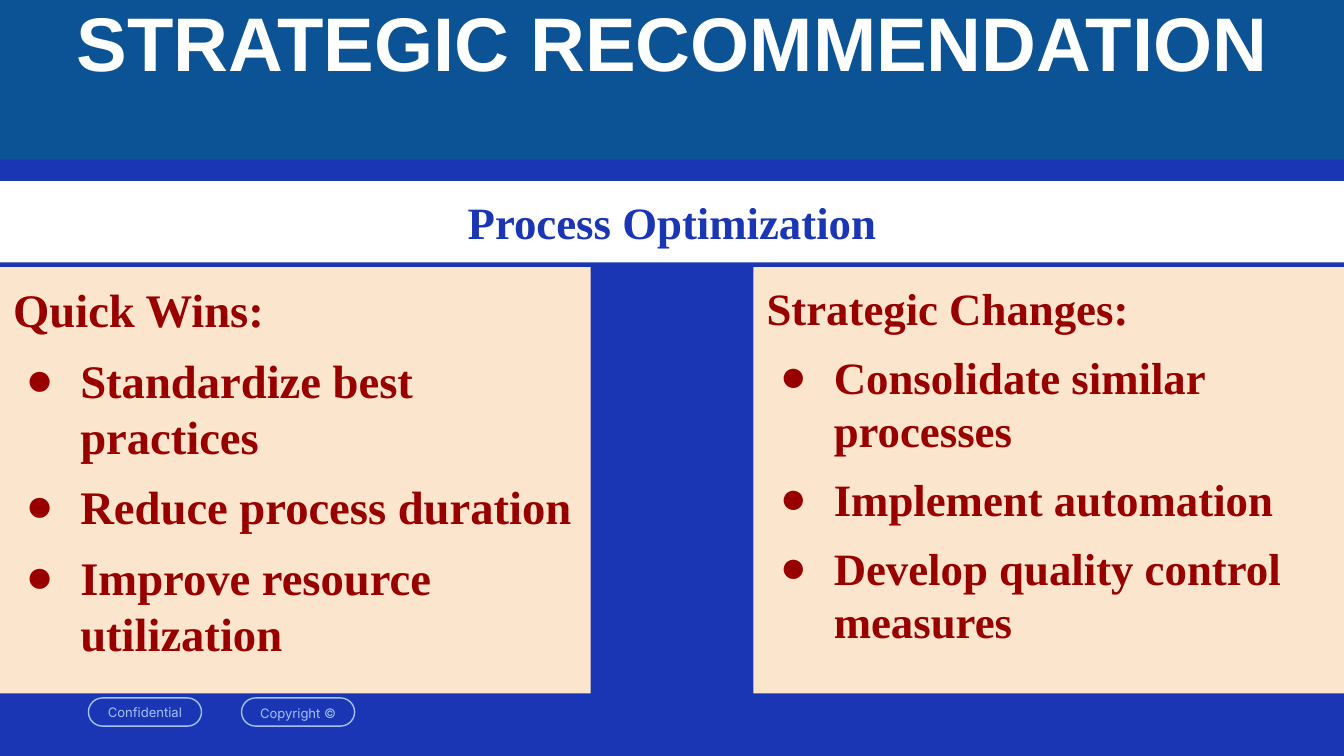
from lxml.etree import SubElement
from pptx import Presentation
from pptx.dml.color import RGBColor
from pptx.enum.shapes import MSO_SHAPE as Preset
from pptx.enum.text import MSO_ANCHOR as Anchor, PP_ALIGN as Align
from pptx.oxml.ns import qn
from pptx.util import Pt

ROYAL_BLUE = RGBColor(0x1A, 0x36, 0xB4)
BANNER_BLUE = RGBColor(0x0B, 0x53, 0x94)
PALE_BLUE = RGBColor(0xA4, 0xC2, 0xF4)
WHITE = RGBColor(0xFF, 0xFF, 0xFF)
PEACH = RGBColor(0xFC, 0xE5, 0xCD)
DARK_RED = RGBColor(0x98, 0x00, 0x00)

WIDTH, HEIGHT = 720, 405
SERIF = "Times New Roman"


def add_panel(slide, box, fill=None, preset=Preset.RECTANGLE, anchor=Anchor.TOP):
    panel = slide.shapes.add_shape(preset, *map(Pt, box))
    panel.shadow.inherit = False
    if fill is None:
        panel.fill.background()
    else:
        panel.fill.solid()
        panel.fill.fore_color.rgb = fill
    panel.line.fill.background()
    frame = panel.text_frame
    frame.word_wrap = True
    frame.vertical_anchor = anchor
    frame.margin_left = frame.margin_right = Pt(7.2)
    frame.margin_top = frame.margin_bottom = Pt(7.2)
    return panel


def write(paragraph, text, size, color, face=SERIF, bold=True, align=Align.CENTER):
    paragraph.text = text
    paragraph.alignment = align
    font = paragraph.font
    font.name, font.size, font.bold = face, Pt(size), bold
    font.color.rgb = color


def add_bullet(paragraph, indent, hanging):
    properties = paragraph._p.get_or_add_pPr()
    properties.set("marL", str(Pt(indent)))
    properties.set("indent", str(-Pt(hanging)))
    bullet_color = SubElement(properties, qn("a:buClr"))
    SubElement(bullet_color, qn("a:srgbClr"), val=str(DARK_RED))
    SubElement(properties, qn("a:buFont"), typeface=SERIF)
    SubElement(properties, qn("a:buChar"), char="●")


def add_title(slide, box, text):
    title = add_panel(slide, box, BANNER_BLUE).text_frame.paragraphs[0]
    title.line_spacing = 0.8
    write(title, text, 40.7, WHITE, "Arial")


def add_heading(slide, box, text):
    heading = add_panel(slide, box, WHITE).text_frame.paragraphs[0]
    heading.space_after = Pt(8)
    write(heading, text, 24, ROYAL_BLUE)


def add_action_list(slide, box, heading, actions, size, hanging):
    frame = add_panel(slide, box, PEACH).text_frame
    write(frame.paragraphs[0], heading, size, DARK_RED, align=Align.LEFT)
    for action in actions:
        item = frame.add_paragraph()
        add_bullet(item, 36, hanging)
        item.space_before = Pt(8)
        write(item, action, size, DARK_RED, align=Align.LEFT)


def add_footer_tag(slide, box, text, spacing):
    tag = add_panel(slide, box, preset=Preset.ROUNDED_RECTANGLE, anchor=Anchor.MIDDLE)
    tag.adjustments[0] = 0.5
    tag.line.color.rgb = PALE_BLUE
    tag.line.width = Pt(0.75)
    label = tag.text_frame.paragraphs[0]
    label.line_spacing = spacing
    write(label, text, 7, PALE_BLUE, "Inter", bold=False)


def main():
    deck = Presentation()
    deck.slide_width, deck.slide_height = Pt(WIDTH), Pt(HEIGHT)
    slide = deck.slides.add_slide(deck.slide_layouts[6])
    slide.background.fill.solid()
    slide.background.fill.fore_color.rgb = ROYAL_BLUE

    add_footer_tag(slide, (47.4, 373.9, 60.6, 15.1), "Confidential", 1.0)
    add_footer_tag(slide, (129.4, 373.9, 60.6, 15.1), "Copyright ©", 1.15)
    add_title(slide, (0, 0, WIDTH, 85.4), "STRATEGIC RECOMMENDATION")
    add_heading(slide, (0, 97.1, WIDTH, 43.6), "Process Optimization")

    list_top, list_width, list_height = 143.1, 316.4, 228.4
    add_action_list(
        slide, (0, list_top, list_width, list_height), "Quick Wins:",
        ("Standardize best practices", "Reduce process duration",
         "Improve resource utilization"), 25, 29.3)
    add_action_list(
        slide, (WIDTH - list_width, list_top, list_width, list_height),
        "Strategic Changes:",
        ("Consolidate similar processes", "Implement automation",
         "Develop quality control measures"), 24, 28.8)

    deck.save("out.pptx")


if __name__ == "__main__":
    main()
